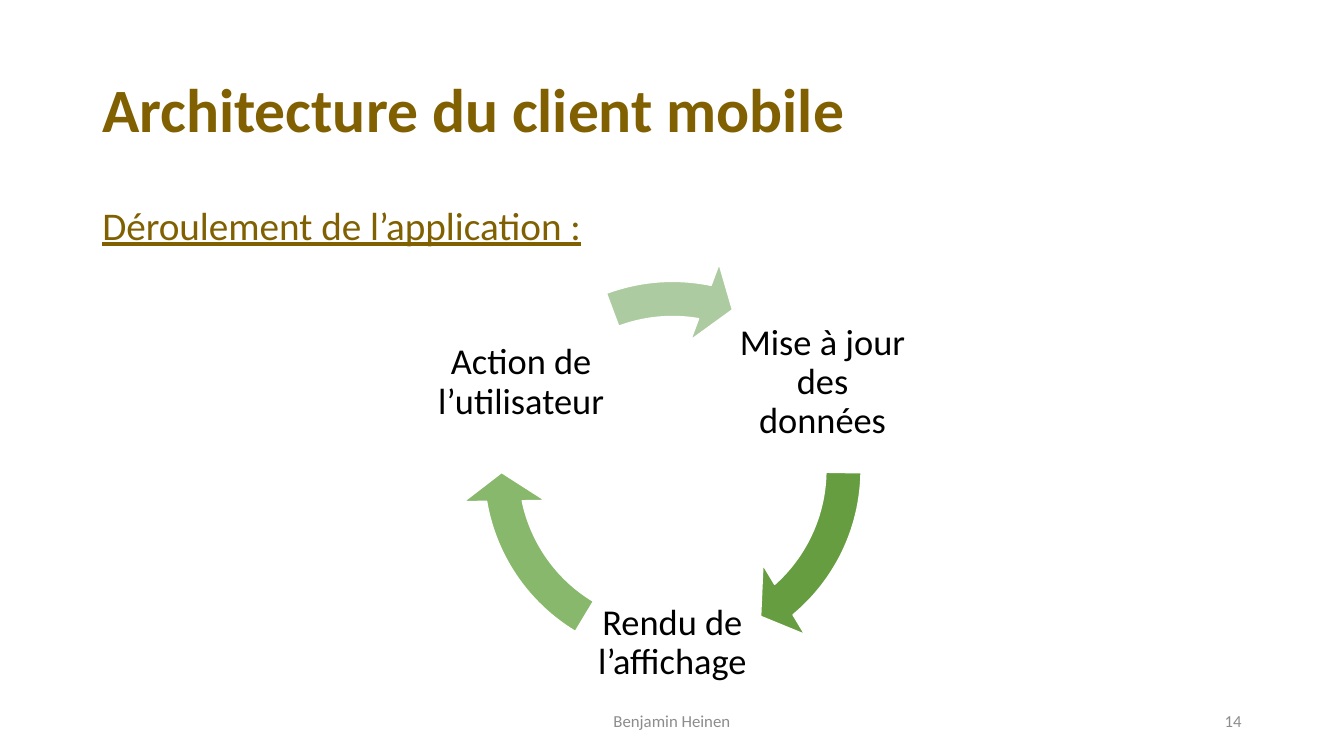
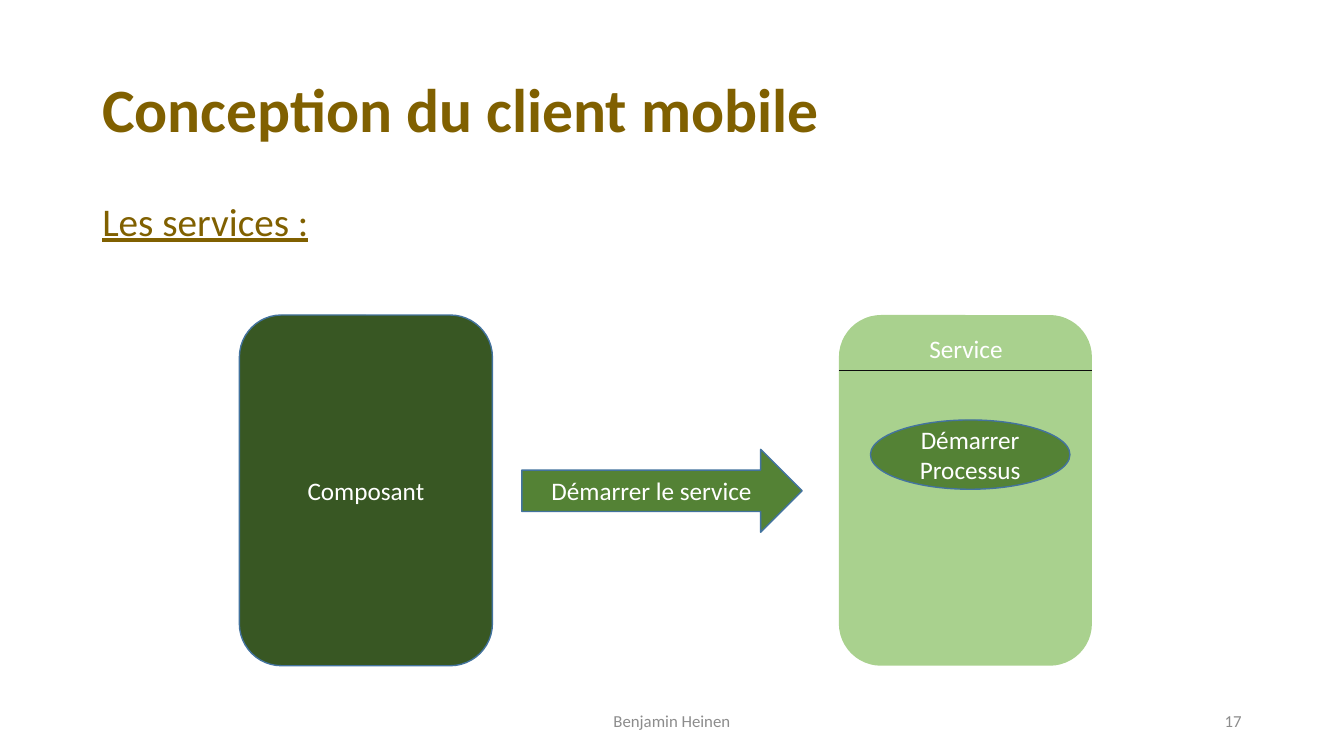
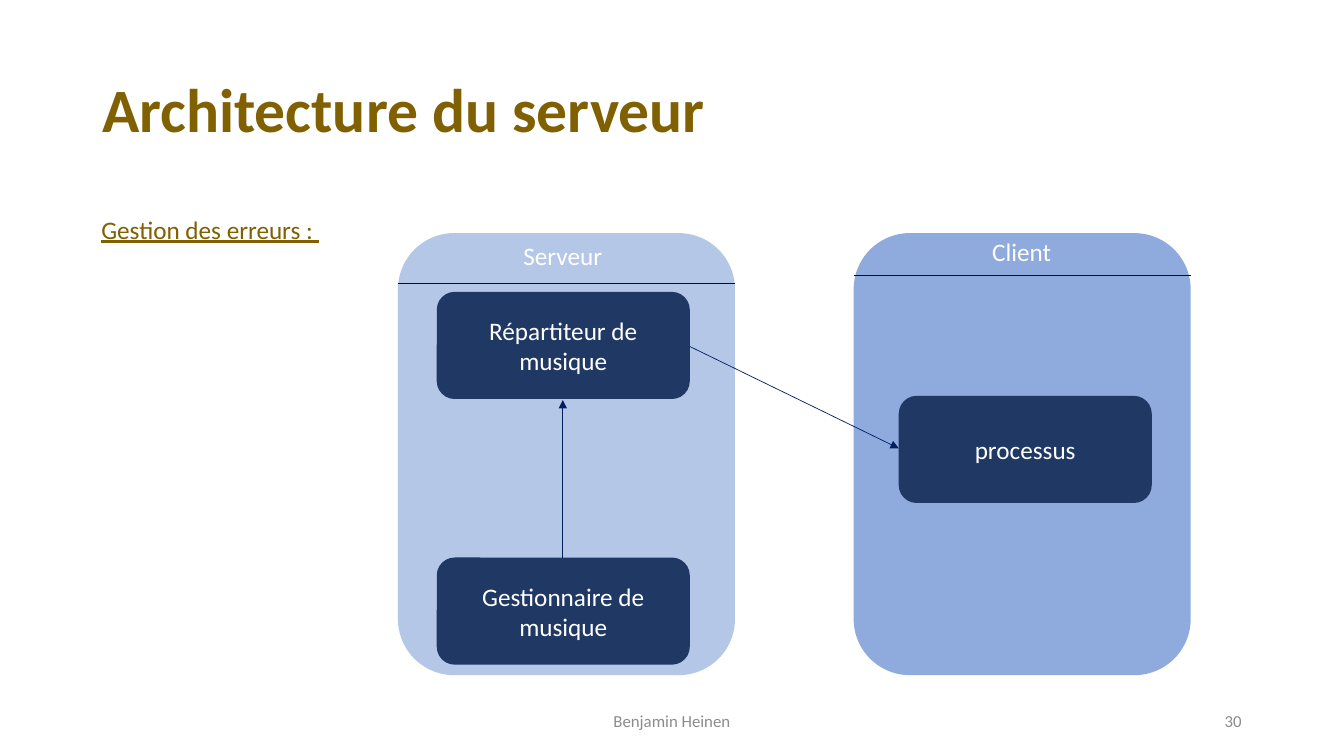
from dataclasses import dataclass

from pptx import Presentation
from pptx.dml.color import RGBColor
from pptx.enum.shapes import MSO_CONNECTOR, MSO_SHAPE
from pptx.enum.text import MSO_ANCHOR, PP_ALIGN
from pptx.oxml.ns import qn
from pptx.shapes.autoshape import Shape
from pptx.slide import Slide
from pptx.util import Pt
from lxml import etree

EMU_PER_PX = 9525
FONT = "Calibri"
AUTHOR = "Benjamin Heinen"
BLANK_LAYOUT = 6
DEGREE = 0.6
LEFT, CENTER, RIGHT = PP_ALIGN.LEFT, PP_ALIGN.CENTER, PP_ALIGN.RIGHT
TOP, MIDDLE = MSO_ANCHOR.TOP, MSO_ANCHOR.MIDDLE
ROUNDED = MSO_SHAPE.ROUNDED_RECTANGLE
RIGHT_ARROW = MSO_SHAPE.RIGHT_ARROW
OVAL = MSO_SHAPE.OVAL
CIRCULAR_ARROW = MSO_SHAPE.CIRCULAR_ARROW
STRAIGHT = MSO_CONNECTOR.STRAIGHT

COLORS = {
    "title": "806000",
    "footer": "8C8C8C",
    "black": "000000",
    "white": "FFFFFF",
    "outline": "43739E",
    "divider": "0D0D0D",
    "link": "002060",
    "cycle_dark": "669D40",
    "cycle_medium": "87B86B",
    "cycle_light": "ADCBA0",
    "component": "385723",
    "service": "A9D18E",
    "action": "548235",
    "server": "B4C7E7",
    "client": "8FAADC",
    "process": "203864",
}


@dataclass(frozen=True)
class Box:
    left: int
    top: int
    width: int
    height: int

    def emu(self) -> tuple[int, int, int, int]:
        return px(self.left), px(self.top), px(self.width), px(self.height)


@dataclass(frozen=True)
class Point:
    x: int
    y: int


@dataclass(frozen=True)
class Step:
    text: str
    label_left: int
    label_top: int
    color: str
    head_angle: float
    tail_angle: float


@dataclass(frozen=True)
class Panel:
    text: str
    box: Box
    label: Box
    divider_top: int
    color: str


@dataclass(frozen=True)
class Process:
    text: str
    left: int
    top: int


TITLE_BOX = Box(88, 38, 1104, 139)
AUTHOR_BOX = Box(424, 667, 432, 38)
NUMBER_BOX = Box(904, 667, 288, 38)
CYCLE_BOX = Box(439, 246, 403, 403)
STEP_SIZE = 171
STEPS = [
    Step("Mise à jour des données", 698, 279, "cycle_dark", 49.36, 0.89),
    Step("Rendu de l’affichage", 555, 527, "cycle_medium", 169.5, 121.03),
    Step("Action de l’utilisateur", 411, 279, "cycle_light", 280.91, 249.48),
]
SERVICE_PANEL = Panel("Service", Box(799, 300, 241, 334),
                      Box(867, 315, 106, 38), 353, "service")
SERVER_PANELS = [
    Panel("Serveur", Box(379, 222, 321, 421), Box(447, 228, 178, 35), 270, "server"),
    Panel("Client", Box(813, 222, 321, 421), Box(884, 225, 178, 35), 262, "client"),
]
PROCESSES = [
    Process("Répartiteur de musique", 416, 278),
    Process("Gestionnaire de musique", 416, 531),
    Process("processus", 856, 377),
]
LINKS = [
    (Point(536, 531), Point(536, 381)),
    (Point(657, 330), Point(856, 427)),
]


def px(length: int) -> int:
    return length * EMU_PER_PX


def rgb(name: str) -> RGBColor:
    return RGBColor.from_string(COLORS[name])


def write_text(shape: Shape, text: str, *, size: int = 18, color: str = "white",
               bold: bool = False, underline: bool = False,
               align: PP_ALIGN = CENTER, anchor: MSO_ANCHOR = MIDDLE,
               spacing: float = 1.0, inset: int | None = None) -> None:
    frame = shape.text_frame
    frame.word_wrap = True
    frame.vertical_anchor = anchor
    if inset is not None:
        frame.margin_left = frame.margin_right = px(inset)
        frame.margin_top = frame.margin_bottom = px(inset)
    frame.text = text
    for para in frame.paragraphs:
        para.alignment = align
        para.line_spacing = spacing
        for span in para.runs:
            span.font.name = FONT
            span.font.size = Pt(size)
            span.font.bold = bold
            span.font.underline = underline
            span.font.color.rgb = rgb(color)


def add_text(page: Slide, box: Box, text: str, **text_format) -> None:
    write_text(page.shapes.add_textbox(*box.emu()), text, **text_format)


def add_figure(page: Slide, kind: MSO_SHAPE, box: Box, fill: str,
               text: str = "", outline: str = "") -> Shape:
    shape = page.shapes.add_shape(kind, *box.emu())
    shape.shadow.inherit = False
    shape.fill.solid()
    shape.fill.fore_color.rgb = rgb(fill)
    if outline:
        shape.line.color.rgb = rgb(outline)
        shape.line.width = Pt(1)
    else:
        shape.line.fill.background()
    if text:
        write_text(shape, text)
    return shape


def add_line(page: Slide, start: Point, end: Point, color: str,
             arrow: bool = False) -> None:
    line = page.shapes.add_connector(STRAIGHT, px(start.x), px(start.y),
                                     px(end.x), px(end.y))
    line.line.color.rgb = rgb(color)
    line.line.width = Pt(0.5)
    properties = line.element.spPr
    if arrow:
        etree.SubElement(properties.find(qn("a:ln")), qn("a:tailEnd"), type="triangle")
    etree.SubElement(properties, qn("a:effectLst"))


def add_panel(page: Slide, panel: Panel, spacing: float) -> None:
    box = panel.box
    add_figure(page, ROUNDED, box, panel.color)
    add_line(page, Point(box.left, panel.divider_top),
             Point(box.left + box.width, panel.divider_top), "divider")
    add_text(page, panel.label, panel.text, spacing=spacing)


def add_step(page: Slide, step: Step) -> None:
    label = Box(step.label_left, step.label_top, STEP_SIZE, STEP_SIZE)
    add_text(page, label, step.text, size=26, color="black", spacing=0.9, inset=4)
    arrow = add_figure(page, CIRCULAR_ARROW, CYCLE_BOX, step.color, outline="white")
    adjustments = [0.083, 9.61 * DEGREE, step.head_angle * DEGREE,
                   step.tail_angle * DEGREE, 0.096]
    for index, value in enumerate(adjustments):
        arrow.adjustments[index] = value


def add_heading(page: Slide, box: Box, text: str, size: int = 28,
                spacing: float = 0.9) -> None:
    add_text(page, box, text, size=size, color="title", underline=True,
             align=LEFT, anchor=TOP, spacing=spacing)


def add_page(deck: Presentation, title: str, number: int) -> Slide:
    page = deck.slides.add_slide(deck.slide_layouts[BLANK_LAYOUT])
    add_text(page, TITLE_BOX, title, size=44, color="title", bold=True,
             align=LEFT, spacing=0.9)
    add_text(page, NUMBER_BOX, str(number), size=12, color="footer", align=RIGHT)
    add_text(page, AUTHOR_BOX, AUTHOR, size=12, color="footer")
    return page


def build_cycle_page(deck: Presentation) -> None:
    page = add_page(deck, "Architecture du client mobile", 14)
    add_heading(page, Box(88, 192, 1104, 457), "Déroulement de l’application :")
    for step in STEPS:
        add_step(page, step)


def build_service_page(deck: Presentation) -> None:
    page = add_page(deck, "Conception du client mobile", 17)
    add_heading(page, Box(88, 188, 1104, 457), "Les services :")
    add_figure(page, ROUNDED, Box(228, 300, 241, 334), "component",
               "Composant", "outline")
    add_figure(page, RIGHT_ARROW, Box(497, 428, 267, 79), "action",
               "Démarrer le service", "outline")
    add_panel(page, SERVICE_PANEL, 0.9)
    add_figure(page, OVAL, Box(829, 400, 190, 66), "action",
               "Démarrer\nProcessus", "outline")


def build_server_page(deck: Presentation) -> None:
    page = add_page(deck, "Architecture du serveur", 30)
    add_heading(page, Box(87, 199, 469, 38), "Gestion des erreurs : ", 18, 1.0)
    for panel in SERVER_PANELS:
        add_panel(page, panel, 0.8)
    for process in PROCESSES:
        add_figure(page, ROUNDED, Box(process.left, process.top, 241, 102),
                   "process", process.text)
    for start, end in LINKS:
        add_line(page, start, end, "link", arrow=True)


def main() -> None:
    deck = Presentation()
    deck.slide_width = px(1280)
    deck.slide_height = px(720)
    build_cycle_page(deck)
    build_service_page(deck)
    build_server_page(deck)
    deck.save("out.pptx")


if __name__ == "__main__":
    main()
